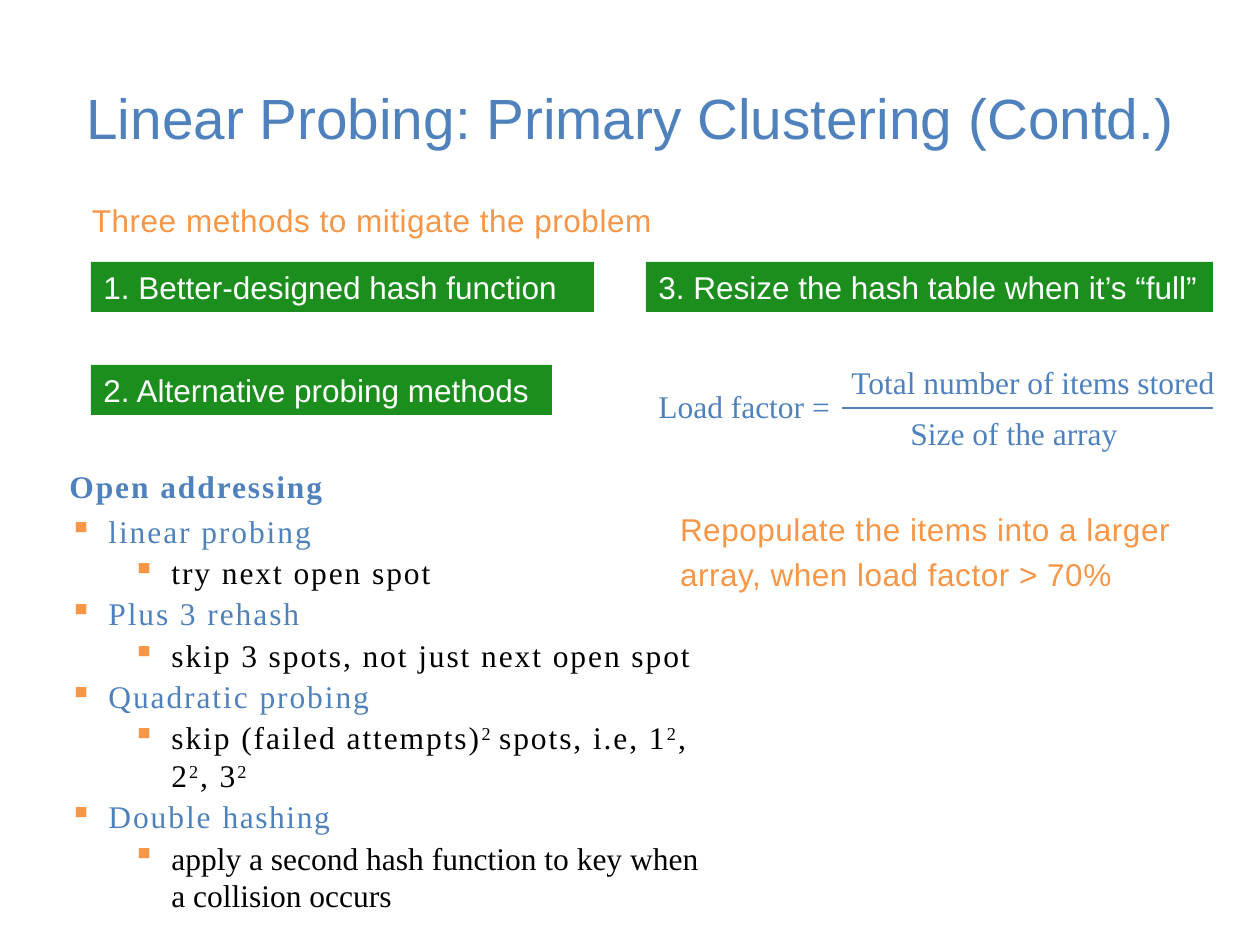
from dataclasses import dataclass

from lxml.etree import SubElement
from pptx import Presentation
from pptx.dml.color import RGBColor
from pptx.enum.shapes import MSO_CONNECTOR, MSO_SHAPE
from pptx.enum.text import MSO_ANCHOR, MSO_AUTO_SIZE, PP_ALIGN
from pptx.oxml.ns import qn
from pptx.util import Pt

EMU_PER_PX = 914400 / 126


def px(n):
    return round(n * EMU_PER_PX)


@dataclass(frozen=True)
class Theme:
    blue: str = "4F81BD"
    orange: str = "F79646"
    green: str = "1B8E1D"
    white: str = "FFFFFF"
    black: str = "000000"
    sans: str = "Arial"
    serif: str = "Times New Roman"
    title_size: float = 32.4
    body_size: float = 18
    rule_width: float = 0.75


def add_text(p, text, *, color, font, size, bold=False, spacing=0):
    """Add text to a paragraph; parts between ^ marks are superscript."""
    for i, part in enumerate(text.split("^")):
        if not part:
            continue
        r = p.add_run()
        r.text = part
        r.font.name = font
        r.font.size = Pt(size)
        r.font.bold = bold
        r.font.color.rgb = RGBColor.from_string(color)
        rPr = r.font._element
        if spacing:
            rPr.set("spc", str(round(spacing * 100)))
        if i % 2:
            rPr.set("baseline", "30000")


def set_indent(p, left, hanging=0):
    pPr = p._p.get_or_add_pPr()
    pPr.set("marL", str(px(left)))
    pPr.set("indent", str(-px(hanging)))
    return pPr


def set_bullet(p, level, color):
    pPr = set_indent(p, (39, 102)[level], 39)
    buClr = SubElement(pPr, qn("a:buClr"))
    SubElement(buClr, qn("a:srgbClr")).set("val", color)
    SubElement(pPr, qn("a:buChar")).set("char", "▪")
    p.level = level


class SlideBuilder:
    def __init__(self, prs, theme):
        self.theme = theme
        self.slide = prs.slides.add_slide(prs.slide_layouts[5])

    def title(self, text, x, y, w, h):
        t = self.theme
        sp = self.slide.shapes.title
        sp.left, sp.top, sp.width, sp.height = map(px, (x, y, w, h))
        tf = sp.text_frame
        tf.vertical_anchor = MSO_ANCHOR.MIDDLE
        p = tf.paragraphs[0]
        p.alignment = PP_ALIGN.CENTER
        add_text(p, text, color=t.blue, font=t.sans, size=t.title_size)

    def text_box(self, x, y, w, h, wrap=True):
        sp = self.slide.shapes.add_textbox(*map(px, (x, y, w, h)))
        tf = sp.text_frame
        tf.word_wrap = wrap
        tf.auto_size = MSO_AUTO_SIZE.SHAPE_TO_FIT_TEXT
        return tf

    def banner(self, text, x, y, w, h=50):
        t = self.theme
        sp = self.slide.shapes.add_shape(MSO_SHAPE.RECTANGLE, *map(px, (x, y, w, h)))
        sp.shadow.inherit = False
        sp.fill.solid()
        sp.fill.fore_color.rgb = RGBColor.from_string(t.green)
        sp.line.fill.background()
        tf = sp.text_frame
        tf.word_wrap = True
        tf.vertical_anchor = MSO_ANCHOR.TOP
        p = tf.paragraphs[0]
        p.alignment = PP_ALIGN.LEFT
        add_text(p, text, color=t.white, font=t.sans, size=t.body_size)

    def callout(self, text, x, y, w, h):
        t = self.theme
        tf = self.text_box(x, y, w, h)
        tf.margin_left = tf.margin_right = tf.margin_bottom = 0
        tf.margin_top = px(1)
        p = tf.paragraphs[0]
        set_indent(p, 1)
        p.line_spacing = 1.2
        add_text(p, text, color=t.orange, font=t.sans, size=t.body_size, spacing=0.3)

    def formula_label(self, text, x, y, w, h=50):
        t = self.theme
        p = self.text_box(x, y, w, h, wrap=False).paragraphs[0]
        add_text(p, text, color=t.blue, font=t.serif, size=t.body_size)

    def rule(self, x1, x2, y):
        t = self.theme
        line = self.slide.shapes.add_connector(
            MSO_CONNECTOR.STRAIGHT, *map(px, (x1, y, x2, y)))
        line.line.color.rgb = RGBColor.from_string(t.blue)
        line.line.width = Pt(t.rule_width)
        SubElement(line._element.spPr, qn("a:effectLst"))

    def outline(self, heading, items, x, y, w, h):
        """Draw a bold heading over bulleted items of (level, [(text, spacing)])."""
        t = self.theme
        tf = self.text_box(x, y, w, h)
        p = tf.paragraphs[0]
        p.space_after = Pt(3)
        add_text(p, heading, color=t.blue, font=t.serif, size=t.body_size,
                 bold=True, spacing=1.1)
        for level, parts in items:
            p = tf.add_paragraph()
            set_bullet(p, level, t.orange)
            p.space_before = p.space_after = Pt(1)
            for text, spacing in parts:
                add_text(p, text, color=(t.blue, t.black)[level], font=t.serif,
                         size=t.body_size, spacing=spacing)


PROBING_METHODS = [
    (0, [("linear probing", 1.1)]),
    (1, [("try next open spot", 1.1)]),
    (0, [("Plus 3 rehash", 1.1)]),
    (1, [("skip 3 spots, not just next open spot", 1.1)]),
    (0, [("Quadratic probing", 1.1)]),
    (1, [("skip (failed attempts)^2 ^spots, i.e, 1^2^, 2^2^, 3^2", 1.1)]),
    (0, [("Double ", 1.1), ("hashing", 0.9)]),
    (1, [("apply a second hash function to key when a collision occurs", 0)]),
]


def main():
    prs = Presentation()
    prs.slide_width, prs.slide_height = px(1260), px(945)
    s = SlideBuilder(prs, Theme())

    s.title("Linear Probing: Primary Clustering (Contd.)", 63, 38, 1134, 158)
    s.callout("Three methods to mitigate the problem", 91, 192, 617, 43)
    s.banner("1. Better-designed hash function", 91, 262, 503)
    s.banner("2. Alternative probing methods", 91, 365, 461)
    s.banner("3. Resize the hash table when it’s “full”", 646, 262, 567)

    s.formula_label("Load factor =", 646, 381, 199)
    s.formula_label("Total number of items stored", 839, 357, 393)
    s.formula_label("Size of the array", 898, 408, 234)
    s.rule(1213, 842, 408)
    s.callout("Repopulate the items into a larger array, when load factor > 70%",
              679, 501, 534, 89)
    s.outline("Open addressing", PROBING_METHODS, 57, 461, 664, 465)

    prs.save("out.pptx")


if __name__ == "__main__":
    main()
